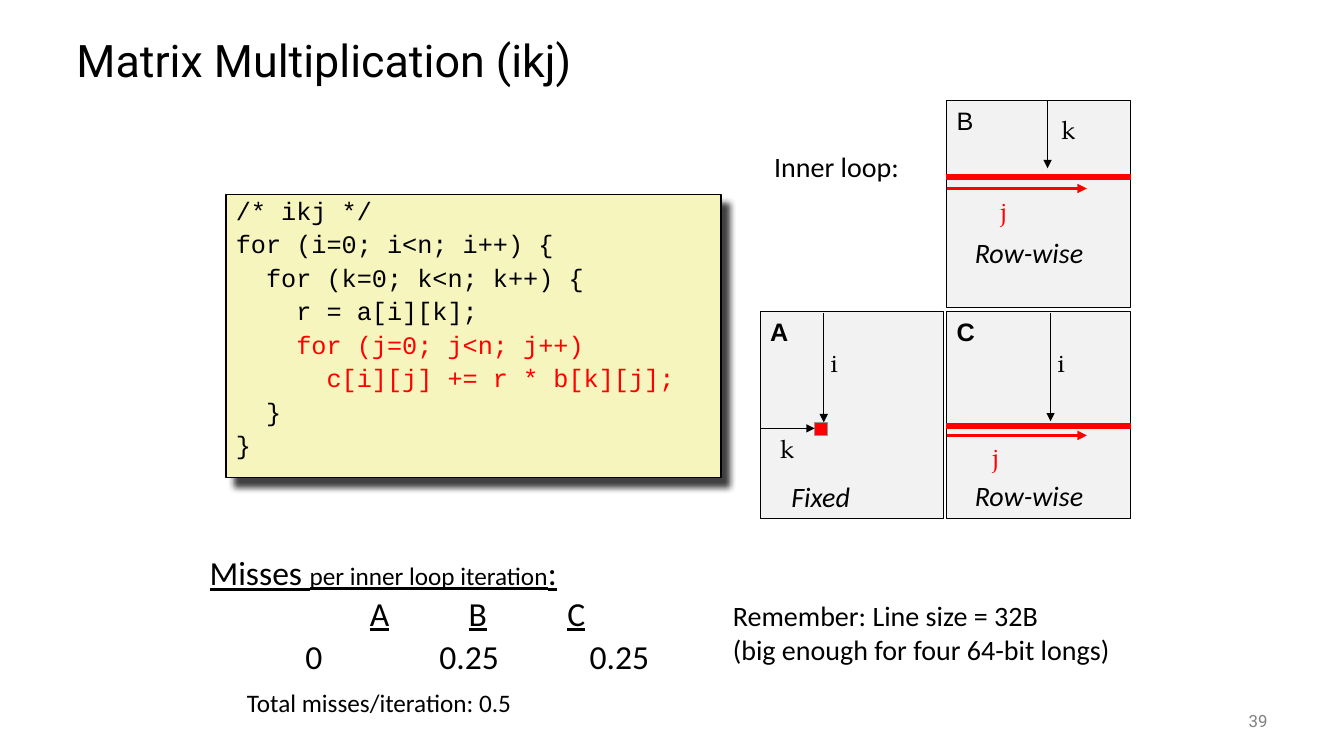
from dataclasses import dataclass
from typing import Any

from lxml.etree import SubElement
from pptx import Presentation
from pptx.dml.color import RGBColor
from pptx.enum.shapes import MSO_CONNECTOR, MSO_SHAPE
from pptx.enum.text import MSO_ANCHOR, PP_ALIGN
from pptx.oxml.ns import qn
from pptx.util import Emu, Pt

EMU_PER_PX = 9144  # 100 px to the inch
COLORS = {
    "black": "000000", "red": "FF0000", "code": "F6F5BD",
    "panel": "F2F2F2", "edge": "969696", "muted": "808080",
}
MATH_FONT = "TeX Gyre Pagella"
PANEL_WIDTH, PANEL_HEIGHT = 182, 205
LEFT_COLUMN, RIGHT_COLUMN = 754, 939
TOP_ROW, BOTTOM_ROW = 100, 309


@dataclass(frozen=True)
class Style:
    size: int
    font: str = "Calibri"
    color: str = "black"
    bold: bool = False
    italic: bool = False
    underline: bool = False


@dataclass(frozen=True)
class Box:
    left: int
    top: int
    width: int
    height: int


@dataclass(frozen=True)
class Label:
    text: str
    box: Box
    style: Style
    wrap: bool = True


@dataclass(frozen=True)
class Rectangle:
    box: Box
    fill: str
    line: str = "black"
    line_width: float = 0.75


@dataclass(frozen=True)
class Arrow:
    start: tuple[int, int]
    end: tuple[int, int]
    color: str = "black"
    width: float = 0.75


def px(value: int) -> Emu:
    return Emu(value * EMU_PER_PX)


def rgb(name: str) -> RGBColor:
    return RGBColor.from_string(COLORS[name])


def place(box: Box) -> tuple[Emu, Emu, Emu, Emu]:
    return px(box.left), px(box.top), px(box.width), px(box.height)


def add_run(paragraph: Any, text: str, style: Style) -> None:
    run = paragraph.add_run()
    run.text = text
    font = run.font
    font.name, font.size = style.font, Pt(style.size)
    font.bold, font.italic, font.underline = style.bold, style.italic, style.underline
    font.color.rgb = rgb(style.color)


def add_text_frame(shapes: Any, box: Box, wrap: bool = True) -> Any:
    frame = shapes.add_textbox(*place(box)).text_frame
    frame.word_wrap = wrap
    return frame


def add_label(shapes: Any, label: Label) -> Any:
    frame = add_text_frame(shapes, label.box, label.wrap)
    paragraph = frame.paragraphs[0]
    for number, line in enumerate(label.text.split("\n")):
        if number:
            paragraph.add_line_break()
        add_run(paragraph, line, label.style)
    return frame


def add_rectangle(shapes: Any, rectangle: Rectangle) -> Any:
    shape = shapes.add_shape(MSO_SHAPE.RECTANGLE, *place(rectangle.box))
    shape.shadow.inherit = False
    shape.fill.solid()
    shape.fill.fore_color.rgb = rgb(rectangle.fill)
    shape.line.color.rgb = rgb(rectangle.line)
    shape.line.width = Pt(rectangle.line_width)
    shape.text_frame.vertical_anchor = MSO_ANCHOR.TOP
    shape.text_frame.paragraphs[0].alignment = PP_ALIGN.LEFT
    return shape


def add_arrow(shapes: Any, arrow: Arrow) -> None:
    ends = [px(value) for value in arrow.start + arrow.end]
    connector = shapes.add_connector(MSO_CONNECTOR.STRAIGHT, *ends)
    connector.line.color.rgb = rgb(arrow.color)
    connector.line.width = Pt(arrow.width)
    properties = connector.element.spPr
    SubElement(properties.find(qn("a:ln")), qn("a:tailEnd"), type="triangle")
    SubElement(properties, qn("a:effectLst"))


def add_code(shapes: Any) -> None:
    shape = add_rectangle(shapes, Rectangle(Box(224, 193, 491, 281), "code", line_width=1))
    effects = shape.element.spPr.find(qn("a:effectLst"))
    shadow = SubElement(effects, qn("a:outerShdw"), blurRad=str(Pt(5)),
                        dist=str(Pt(8.5)), dir="2700000", algn="tl", rotWithShape="0")
    color = SubElement(shadow, qn("a:srgbClr"), val=COLORS["black"])
    SubElement(color, qn("a:alpha"), val="75000")

    lines = [
        ("/* ikj */", "black"),
        ("for (i=0; i<n; i++) {", "black"),
        ("  for (k=0; k<n; k++) {", "black"),
        ("    r = a[i][k];", "black"),
        ("    for (j=0; j<n; j++)", "red"),
        ("      c[i][j] += r * b[k][j];", "red"),
        ("  }", "black"),
        ("}", "black"),
    ]
    frame = shape.text_frame
    frame.margin_top = px(10)
    for number, (text, color_name) in enumerate(lines):
        paragraph = frame.add_paragraph() if number else frame.paragraphs[0]
        paragraph.alignment = PP_ALIGN.LEFT
        paragraph.line_spacing = 0.65
        if number:
            paragraph.space_before = Pt(9.9)
        add_run(paragraph, text, Style(18, "Courier New", color_name))


def add_misses(shapes: Any) -> None:
    """Add the miss counts per matrix, with their heading and total."""
    frame = add_text_frame(shapes, Box(198, 543, 555, 207))
    heading, columns = frame.paragraphs[0], frame.add_paragraph()
    for text, size in (("Misses ", 24), ("per inner loop iteration", 18), (":", 24)):
        add_run(heading, text, Style(size, underline=True))

    tabs = SubElement(columns._p.get_or_add_pPr(), qn("a:tabLst"))
    for stop in range(61, 356, 98):
        SubElement(tabs, qn("a:tab"), pos=str(px(stop)), algn="l")
    for gap, matrix in (("\t\t", "A"), ("\t", "B"), ("\t", "C")):
        add_run(columns, gap, Style(24))
        add_run(columns, matrix, Style(24, underline=True))

    for text, left, width in (("0", 293, 37), ("0.25", 426, 80), ("0.25", 575, 80)):
        add_label(shapes, Label(text, Box(left, 626, width, 50), Style(24), wrap=False))
    total = Label("Total misses/iteration: 0.5", Box(235, 677, 300, 40), Style(18))
    add_label(shapes, total)


def add_inner_loop(shapes: Any) -> None:
    """Add the three matrices with the access pattern of the inner loop."""
    caption = Style(20, italic=True)
    index, red_index = Style(18, MATH_FONT), Style(18, MATH_FONT, "red")
    panels = [("A", LEFT_COLUMN, BOTTOM_ROW, True), ("B", RIGHT_COLUMN, TOP_ROW, False),
              ("C", RIGHT_COLUMN, BOTTOM_ROW, True)]
    for name, left, top, bold in panels:
        panel = add_rectangle(shapes, Rectangle(Box(left, top, PANEL_WIDTH, PANEL_HEIGHT), "panel"))
        add_run(panel.text_frame.paragraphs[0], name, Style(18, "Arial", bold=bold))

    for bar_top, arrow_y in ((173, 187), (420, 432)):
        add_rectangle(shapes, Rectangle(Box(RIGHT_COLUMN, bar_top, PANEL_WIDTH, 5), "red", "red"))
        add_arrow(shapes, Arrow((RIGHT_COLUMN, arrow_y), (1078, arrow_y), "red", 2.25))
    add_rectangle(shapes, Rectangle(Box(808, 419, 13, 13), "red", "edge"))

    for arrow in (Arrow((817, 311), (817, 419)), Arrow((1042, 311), (1042, 418)),
                  Arrow((LEFT_COLUMN, 425), (808, 425)), Arrow((1039, TOP_ROW), (1039, 167))):
        add_arrow(shapes, arrow)

    for label in (
        Label("Inner loop:", Box(758, 143, 145, 43), Style(20), wrap=False),
        Label("i", Box(814, 340, 36, 41), index),
        Label("i", Box(1039, 340, 32, 41), index),
        Label("k", Box(764, 425, 38, 41), index),
        Label("k", Box(1043, 108, 43, 41), index),
        Label("j", Box(983, 189, 34, 41), red_index),
        Label("j", Box(975, 433, 32, 41), red_index),
        Label("Fixed", Box(775, 471, 79, 43), caption, wrap=False),
        Label("Row-wise", Box(957, 470, 128, 43), caption, wrap=False),
        Label("Row-wise", Box(957, 229, 132, 43), caption, wrap=False),
    ):
        add_label(shapes, label)


def main() -> None:
    presentation = Presentation()
    presentation.slide_width, presentation.slide_height = px(1333), px(750)
    slide = presentation.slides.add_slide(presentation.slide_layouts[6])
    shapes = slide.shapes

    title = add_label(shapes, Label("Matrix Multiplication (ikj)", Box(66, 25, 1200, 75), Style(32, "Roboto")))
    title.vertical_anchor = MSO_ANCHOR.MIDDLE
    title.paragraphs[0].line_spacing = 0.9
    add_code(shapes)
    add_misses(shapes)
    reminder = "Remember: Line size = 32B\n(big enough for four 64-bit longs)"
    add_label(shapes, Label(reminder, Box(717, 589, 417, 77), Style(20)))
    add_inner_loop(shapes.add_group_shape().shapes)
    number = add_label(shapes, Label("39", Box(1167, 695, 100, 40), Style(12, "Roboto", "muted")))
    number.vertical_anchor = MSO_ANCHOR.MIDDLE
    number.paragraphs[0].alignment = PP_ALIGN.RIGHT
    presentation.save("out.pptx")


if __name__ == "__main__":
    main()
